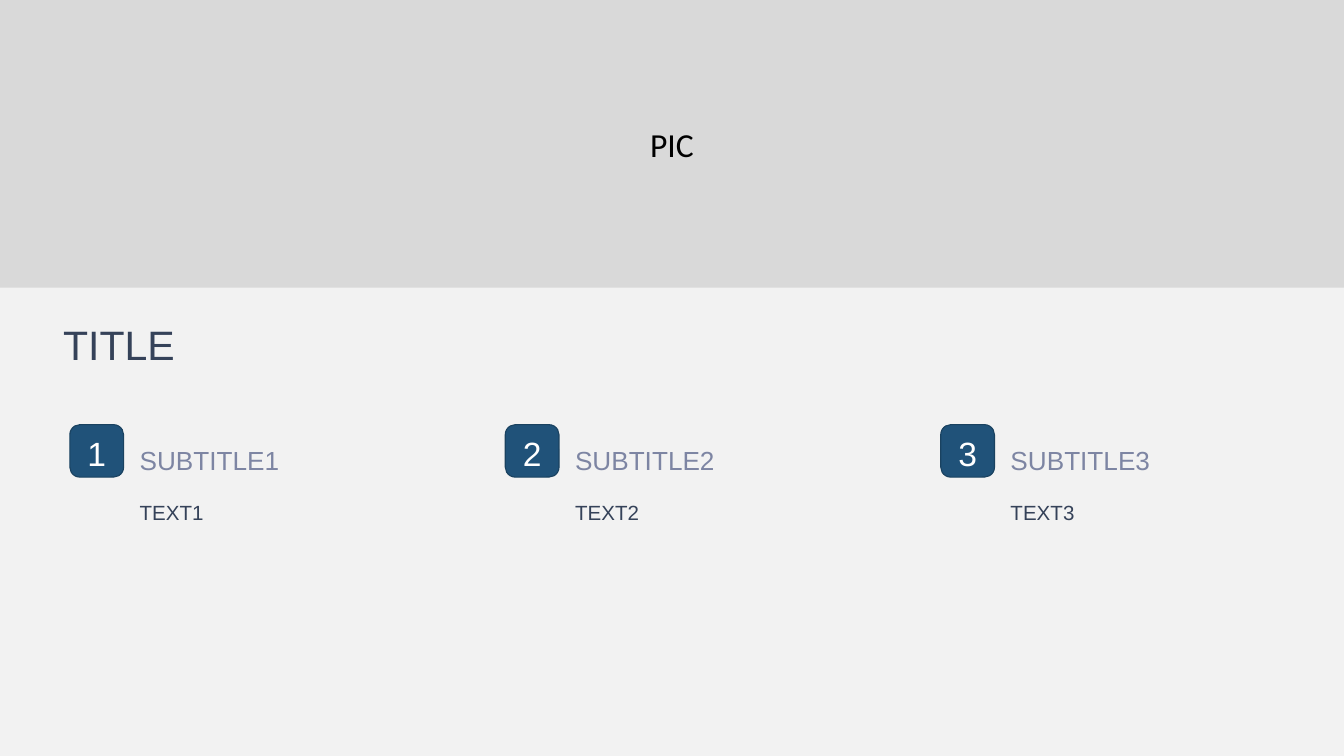
import pptx
import pptx.util
import pptx.dml.color
import pptx.enum.shapes
import pptx.enum.text

Pt = pptx.util.Pt
ALIGN = pptx.enum.text.PP_ALIGN
ANCHOR = pptx.enum.text.MSO_ANCHOR

COLORS = {
    "background": "F2F2F2",
    "banner": "D9D9D9",
    "banner_text": "000000",
    "heading": "354259",
    "subtitle": "7D85A3",
    "badge": "205279",
    "badge_line": "1A4260",
    "badge_text": "FFFFFF",
}
COLUMN_LEFT = 37.44
COLUMN_PITCH = 233.28
TEXT_OFFSET = 30.24
TEXT_WIDTHS = [185.76, 185.76, 180.72]


def rgb(name):
    return pptx.dml.color.RGBColor.from_string(COLORS[name])


def write(holder, text, size, color, align=ALIGN.LEFT, anchor=ANCHOR.TOP, font="Arial"):
    frame = holder.text_frame
    frame.word_wrap = True
    frame.auto_size = pptx.enum.text.MSO_AUTO_SIZE.NONE
    frame.vertical_anchor = anchor
    frame.text = text
    paragraph = frame.paragraphs[0]
    paragraph.alignment = align
    paragraph.font.size = Pt(size)
    paragraph.font.name = font
    paragraph.font.color.rgb = rgb(color)


def add_text(slide, box, text, size, color, **layout):
    write(slide.shapes.add_textbox(*map(Pt, box)), text, size, color, **layout)


def add_block(slide, box, rounding, fill):
    block = slide.shapes.add_shape(
        pptx.enum.shapes.MSO_SHAPE.ROUNDED_RECTANGLE, *map(Pt, box))
    block.adjustments[0] = rounding
    block.shadow.inherit = False
    block.fill.solid()
    block.fill.fore_color.rgb = rgb(fill)
    return block


def add_title(slide, text):
    title = slide.shapes.title
    title.left, title.top, title.width, title.height = map(Pt, (26.64, 167.76, 675.36, 45.36))
    write(title, text, 22, "heading")


def add_banner(slide, text):
    banner = add_block(slide, (0, 0, 720, 154.08), 0, "banner")
    banner.line.fill.background()
    write(banner, text, 18, "banner_text", ALIGN.CENTER, ANCHOR.MIDDLE, "Calibri")


def add_column(slide, number, width):
    left = COLUMN_LEFT + (number - 1) * COLUMN_PITCH
    text_left = left + TEXT_OFFSET
    add_text(slide, (text_left, 202.32, width, 56.16), f"SUBTITLE{number}", 14,
             "subtitle", anchor=ANCHOR.BOTTOM)
    add_text(slide, (text_left, 264.24, width, 123.12), f"TEXT{number}", 11, "heading")
    badge = add_block(slide, (left, 227.52, 28.8, 28.08), 0.19, "badge")
    badge.line.color.rgb = rgb("badge_line")
    badge.line.width = Pt(0.6)
    add_text(slide, (left, 228.24, 28.8, 28.8), str(number), 18, "badge_text",
             align=ALIGN.CENTER)


def main():
    presentation = pptx.Presentation()
    presentation.slide_width = Pt(720)
    presentation.slide_height = Pt(405)
    slide = presentation.slides.add_slide(presentation.slide_layouts[5])
    slide.background.fill.solid()
    slide.background.fill.fore_color.rgb = rgb("background")
    for number, width in enumerate(TEXT_WIDTHS, start=1):
        add_column(slide, number, width)
    add_banner(slide, "PIC")
    add_title(slide, "TITLE")
    presentation.save("out.pptx")


if __name__ == "__main__":
    main()
